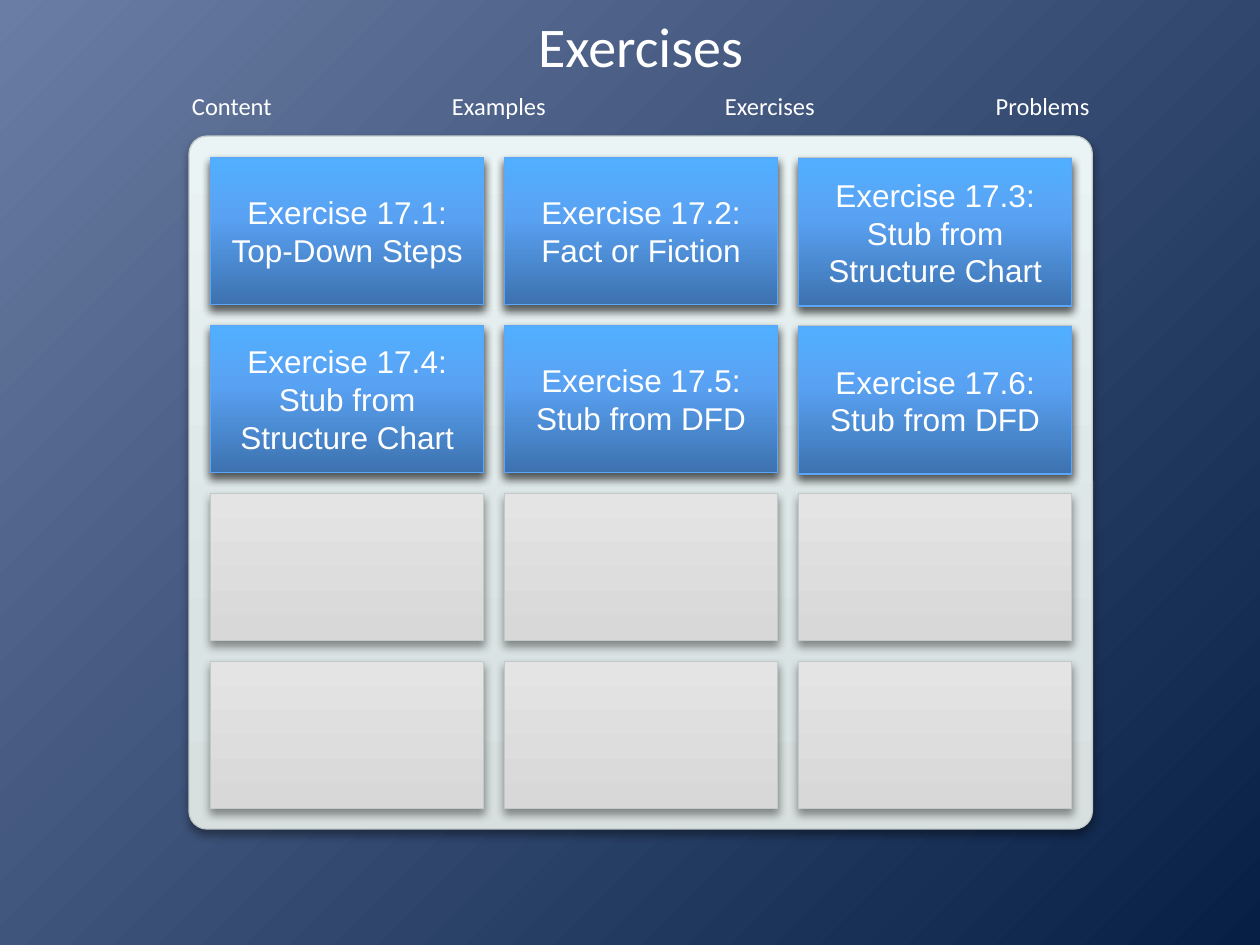
from copy import deepcopy

from lxml import etree
from pptx import Presentation
from pptx.dml.color import RGBColor
from pptx.enum.shapes import MSO_SHAPE
from pptx.enum.text import MSO_ANCHOR, MSO_AUTO_SIZE, PP_ALIGN
from pptx.oxml.ns import qn
from pptx.util import Inches, Pt

RECTANGLE = MSO_SHAPE.RECTANGLE
ROUNDED = MSO_SHAPE.ROUNDED_RECTANGLE
MIDDLE = MSO_ANCHOR.MIDDLE
CENTER = PP_ALIGN.CENTER
GROW = MSO_AUTO_SIZE.SHAPE_TO_FIT_TEXT

WHITE = RGBColor(0xFF, 0xFF, 0xFF)
SKY_LIGHT = RGBColor(0x6A, 0x7D, 0xA4)
SKY_DARK = RGBColor(0x07, 0x1F, 0x45)
PALE_LINE = RGBColor(0xC1, 0xC9, 0xC9)
BLUE_LINE = RGBColor(0x5B, 0xA6, 0xFA)
PANEL_STOPS = [
    (0, RGBColor(0xD7, 0xDF, 0xDF)),
    (0.25, RGBColor(0xDA, 0xE3, 0xE3)),
    (1, RGBColor(0xEB, 0xF4, 0xF4)),
]
EMPTY_STOPS = [
    (0, RGBColor(0xD8, 0xD8, 0xD8)),
    (0.01, RGBColor(0xD8, 0xD8, 0xD8)),
    (1, RGBColor(0xE4, 0xE4, 0xE4)),
]
BLUE_STOPS = [
    (0, RGBColor(0x3D, 0x72, 0xAF)),
    (0.6, RGBColor(0x59, 0xA2, 0xF3)),
    (1, RGBColor(0x52, 0xAF, 0xFF)),
]

GRID_LEFT, GRID_TOP = 1.67, 1.25
COLUMNS, ROWS = 3, 4
COLUMN_STEP, ROW_STEP = 7 / 3, 4 / 3
CARD_WIDTH, CARD_HEIGHT = 2.17, 1.17


def add_card(kind, left, top, width, height, stops, line_color):
    card = slide.shapes.add_shape(
        kind, Inches(left), Inches(top), Inches(width), Inches(height))
    card.fill.gradient()
    card.fill.gradient_angle = 90
    stop_list = card._element.spPr.find(qn("a:gradFill")).find(qn("a:gsLst"))
    stop_list.insert(1, deepcopy(stop_list[0]))
    for stop, (position, color) in zip(card.fill.gradient_stops, stops):
        stop.position = position
        stop.color.rgb = color
    card.line.color.rgb = line_color
    card.line.width = Pt(0.75)
    card.shadow.inherit = False
    effects = card._element.spPr.find(qn("a:effectLst"))
    shadow = etree.SubElement(
        effects, qn("a:outerShdw"), blurRad=str(Pt(5.2)), dist=str(Pt(3)),
        dir="5400000", rotWithShape="0")
    shadow_color = etree.SubElement(shadow, qn("a:srgbClr"), val="000000")
    etree.SubElement(shadow_color, qn("a:alpha"), val="40000")
    return card


def write(frame, text, font_name, size):
    frame.vertical_anchor = MIDDLE
    paragraph = frame.paragraphs[0]
    paragraph.text = text
    paragraph.alignment = CENTER
    paragraph.font.name = font_name
    paragraph.font.size = Pt(size)
    paragraph.font.color.rgb = WHITE


presentation = Presentation()
presentation.slide_width = Inches(10)
presentation.slide_height = Inches(7.5)
slide = presentation.slides.add_slide(presentation.slide_layouts[6])

backdrop = slide.background.fill
backdrop.gradient()
backdrop.gradient_angle = 315
for stop, position, color in zip(
        backdrop.gradient_stops, (0, 1), (SKY_LIGHT, SKY_DARK)):
    stop.position = position
    stop.color.rgb = color

panel = add_card(ROUNDED, 1.5, 1.08, 7.17, 5.5, PANEL_STOPS, PALE_LINE)
panel.adjustments[0] = 0.026

for row in range(ROWS):
    for column in range(COLUMNS):
        add_card(
            RECTANGLE, GRID_LEFT + column * COLUMN_STEP,
            GRID_TOP + row * ROW_STEP, CARD_WIDTH, CARD_HEIGHT,
            EMPTY_STOPS, PALE_LINE)

for label, left, width in [
    ("Content", 1.42, 0.84),
    ("Examples", 3.48, 0.96),
    ("Exercises", 5.65, 0.92),
    ("Problems", 7.8, 0.95),
]:
    tab = slide.shapes.add_textbox(
        Inches(left), Inches(0.67), Inches(width), Inches(0.34))
    tab.text_frame.word_wrap = False
    tab.text_frame.auto_size = GROW
    write(tab.text_frame, label, "Calibri", 14)

title = slide.shapes.add_textbox(
    Inches(1.5), Inches(0.11), Inches(7.17), Inches(0.5))
title_frame = title.text_frame
title_frame.word_wrap = True
title_frame.margin_left = title_frame.margin_right = 0
title_frame.margin_top = title_frame.margin_bottom = 0
write(title_frame, "Exercises", "Calibri", 32)

EXERCISES = [
    "Top-Down Steps",
    "Fact or Fiction",
    "Stub from Structure Chart",
    "Stub from Structure Chart",
    "Stub from DFD",
    "Stub from DFD",
]
for index, topic in enumerate(EXERCISES):
    row, column = divmod(index, COLUMNS)
    nudge = 0.01 if column == COLUMNS - 1 else 0
    exercise = add_card(
        RECTANGLE, GRID_LEFT + column * COLUMN_STEP,
        GRID_TOP + row * ROW_STEP + nudge, CARD_WIDTH, CARD_HEIGHT,
        BLUE_STOPS, BLUE_LINE)
    write(exercise.text_frame, f"Exercise 17.{index + 1}:\n{topic}", "Arial", 18)

presentation.save("out.pptx")
